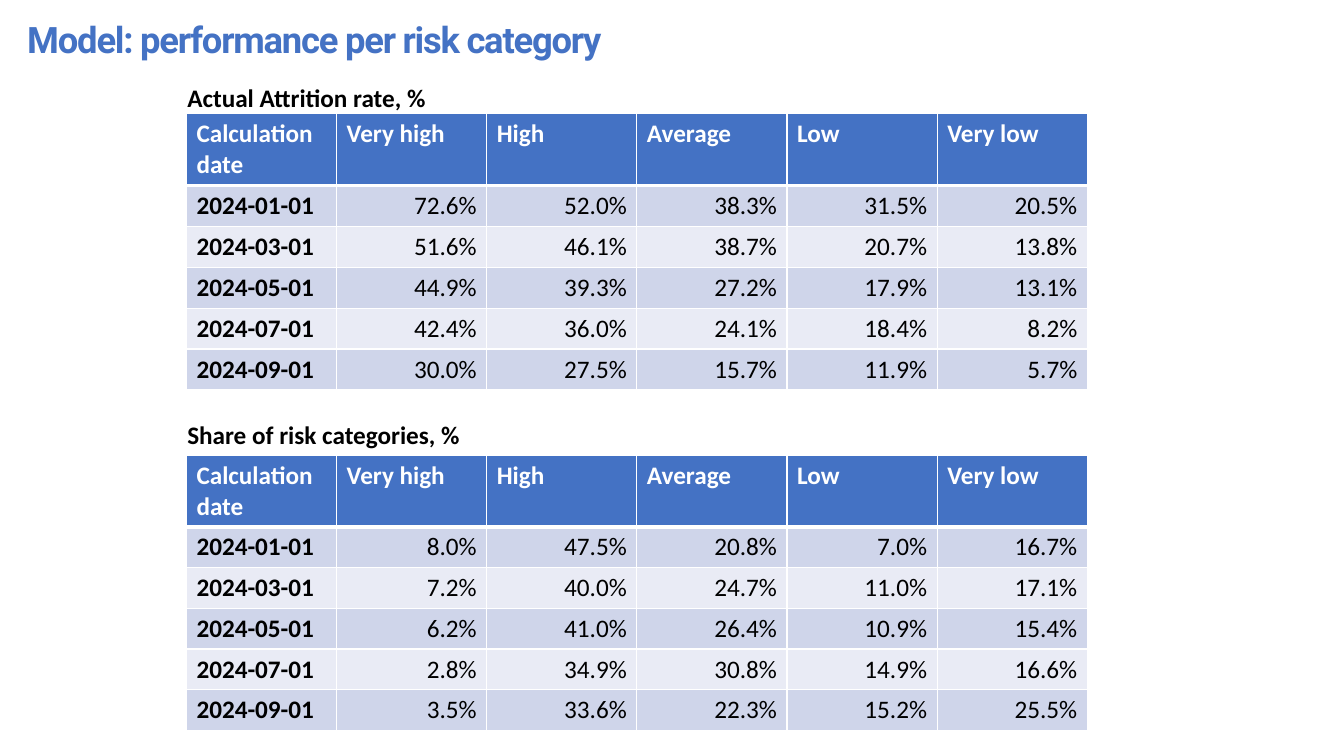
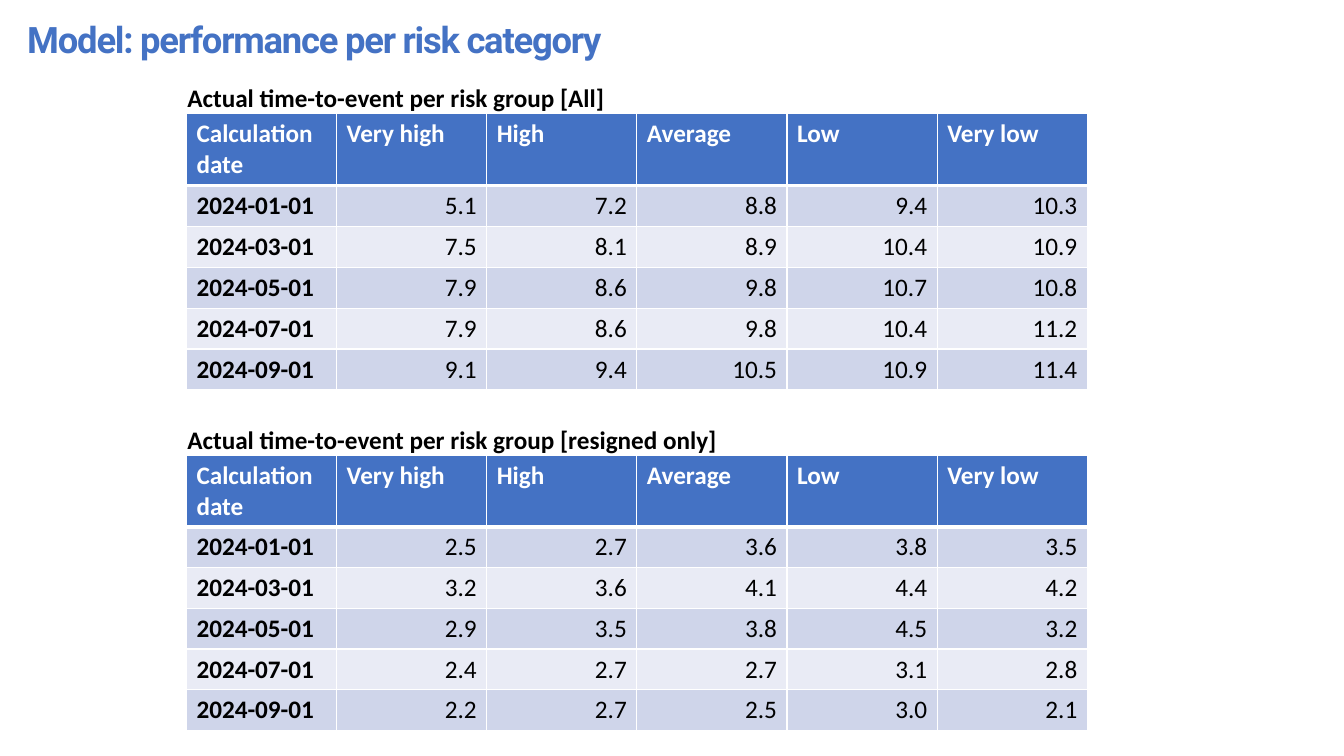
from itertools import product

from pptx import Presentation
from pptx import util as u
from pptx.dml.color import RGBColor
from pptx.enum import text
from pptx.oxml import parse_xml
from pptx.oxml.ns import nsdecls

PX = 4572
BLUE = RGBColor(0x44, 0x72, 0xC4)
BAND_DARK = RGBColor(0xCF, 0xD5, 0xEA)
BAND_LIGHT = RGBColor(0xE9, 0xEB, 0xF5)
WHITE = RGBColor(0xFF, 0xFF, 0xFF)
BLACK = RGBColor(0, 0, 0)

TITLE = "Model: performance per risk category"
HEADER = ["Calculation date", "Very high", "High", "Average", "Low", "Very low"]
DATES = ["2024-01-01", "2024-03-01", "2024-05-01", "2024-07-01", "2024-09-01"]
TABLE_LEFT, COL_W, HEAD_H, ROW_H = 370, 298, 141, 81
TABLE_TOPS = (226, 904)
CAPTION_LEFT, CAPTION_H = 352, 80

SLIDES = [
    [
        ("Actual Attrition rate, %", 154, 630, "{:.1f}%", [
            [72.6, 52.0, 38.3, 31.5, 20.5],
            [51.6, 46.1, 38.7, 20.7, 13.8],
            [44.9, 39.3, 27.2, 17.9, 13.1],
            [42.4, 36.0, 24.1, 18.4, 8.2],
            [30.0, 27.5, 15.7, 11.9, 5.7],
        ]),
        ("Share of risk categories, %", 822, 630, "{:.1f}%", [
            [8.0, 47.5, 20.8, 7.0, 16.7],
            [7.2, 40.0, 24.7, 11.0, 17.1],
            [6.2, 41.0, 26.4, 10.9, 15.4],
            [2.8, 34.9, 30.8, 14.9, 16.6],
            [3.5, 33.6, 22.3, 15.2, 25.5],
        ]),
    ],
    [
        ("Actual time-to-event per risk group [All]", 154, 1250, "{:.1f}", [
            [5.1, 7.2, 8.8, 9.4, 10.3],
            [7.5, 8.1, 8.9, 10.4, 10.9],
            [7.9, 8.6, 9.8, 10.7, 10.8],
            [7.9, 8.6, 9.8, 10.4, 11.2],
            [9.1, 9.4, 10.5, 10.9, 11.4],
        ]),
        ("Actual time-to-event per risk group [resigned only]", 832, 1336, "{:.1f}", [
            [2.5, 2.7, 3.6, 3.8, 3.5],
            [3.2, 3.6, 4.1, 4.4, 4.2],
            [2.9, 3.5, 3.8, 4.5, 3.2],
            [2.4, 2.7, 2.7, 3.1, 2.8],
            [2.2, 2.7, 2.5, 3.0, 2.1],
        ]),
    ],
]


def px(*lengths):
    """Turn px lengths into EMU."""
    return [u.Emu(n * PX) for n in lengths]


def write(tf, words, size=18, font="Calibri", color=BLACK, bold=True,
          align=text.PP_ALIGN.LEFT, spacing=None):
    """Write one formatted run into a text frame."""
    p = tf.paragraphs[0]
    p.alignment = align
    r = p.add_run()
    r.text = words
    r.font.size, r.font.name, r.font.bold = u.Pt(size), font, bold
    r.font.color.rgb = color
    if spacing is not None:
        r.font._element.set("spc", str(spacing))


def add_title(s):
    """Place and format the title placeholder."""
    sp = s.shapes.title
    sp.left, sp.top, sp.width, sp.height = px(34, 24, 2540, 108)
    tf = sp.text_frame
    tf.auto_size = text.MSO_AUTO_SIZE.NONE
    tf.vertical_anchor = text.MSO_ANCHOR.TOP
    write(tf, TITLE, size=26, font="Roboto", color=BLUE, spacing=-90)


def add_caption(s, words, top, width):
    """Add the bold caption above a table."""
    tf = s.shapes.add_textbox(*px(CAPTION_LEFT, top, width, CAPTION_H)).text_frame
    tf.word_wrap = True
    write(tf, words)


def set_borders(cell, top, bottom):
    """Give a cell white borders, 1 pt wide at the sides."""
    tc_pr = cell._tc.get_or_add_tcPr()
    for i, (side, width) in enumerate(zip("LRTB", (1, 1, top, bottom))):
        tc_pr.insert(i, parse_xml(
            f'<a:ln{side} {nsdecls("a")} w="{u.Pt(width)}"><a:solidFill>'
            f'<a:srgbClr val="{WHITE}"/></a:solidFill></a:ln{side}>'))


def add_risk_table(s, top, number, values):
    """Add a table of values by calculation date and risk category."""
    rows = [HEADER]
    rows += [[d] + [number.format(v) for v in vs] for d, vs in zip(DATES, values)]
    n_rows, n_cols = len(rows), len(HEADER)
    height = HEAD_H + ROW_H * (n_rows - 1)
    tbl = s.shapes.add_table(
        n_rows, n_cols, *px(TABLE_LEFT, top, COL_W * n_cols, height)).table
    for col in tbl.columns:
        col.width = u.Emu(COL_W * PX)
    for i, row in enumerate(tbl.rows):
        row.height = u.Emu((ROW_H if i else HEAD_H) * PX)
    for i, j in product(range(n_rows), range(n_cols)):
        cell = tbl.cell(i, j)
        head = i == 0
        is_value = not head and j > 0
        cell.fill.solid()
        cell.fill.fore_color.rgb = BLUE if head else (BAND_LIGHT, BAND_DARK)[i % 2]
        cell.vertical_anchor = text.MSO_ANCHOR.TOP if head else text.MSO_ANCHOR.MIDDLE
        set_borders(cell, top=3 if i == 1 else 1, bottom=3 if head else 1)
        write(cell.text_frame, rows[i][j], color=WHITE if head else BLACK,
              bold=not is_value,
              align=text.PP_ALIGN.RIGHT if is_value else text.PP_ALIGN.LEFT)


def main():
    """Build and save the presentation."""
    prs = Presentation()
    prs.slide_width, prs.slide_height = px(2667, 1500)
    for blocks in SLIDES:
        s = prs.slides.add_slide(prs.slide_layouts[5])
        add_title(s)
        for top, (caption, caption_top, width, number, values) in zip(TABLE_TOPS, blocks):
            add_risk_table(s, top, number, values)
            add_caption(s, caption, caption_top, width)
    prs.save("out.pptx")


if __name__ == "__main__":
    main()
